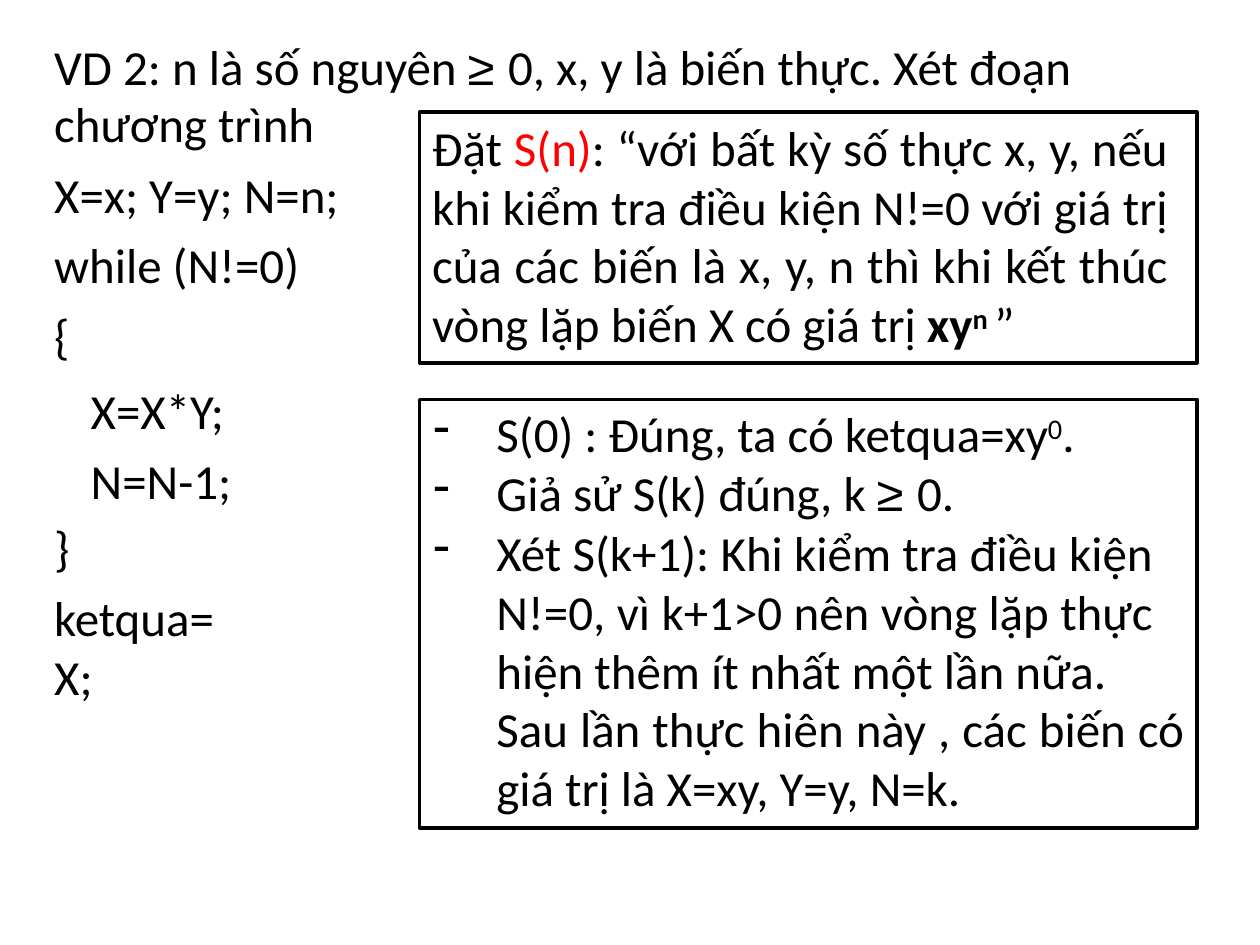
from dataclasses import dataclass

from lxml import etree
from pptx import Presentation
from pptx.dml.color import RGBColor
from pptx.enum.shapes import MSO_SHAPE
from pptx.enum.text import MSO_ANCHOR, MSO_AUTO_SIZE, PP_ALIGN
from pptx.oxml.ns import qn
from pptx.util import Inches, Pt

RECTANGLE = MSO_SHAPE.RECTANGLE
TOP = MSO_ANCHOR.TOP
NO_AUTOFIT = MSO_AUTO_SIZE.NONE
LEFT = PP_ALIGN.LEFT
JUSTIFY = PP_ALIGN.JUSTIFY
BLACK = "000000"
RED = "FF0000"


@dataclass(frozen=True)
class Span:
    text: str
    color: str = BLACK
    font: str = "Calibri"
    bold: bool = False
    raised: bool = False


@dataclass(frozen=True)
class Para:
    spans: tuple[Span, ...]
    before: float = 0
    spacing: float | Pt = 1.0
    align: PP_ALIGN = LEFT
    left: float = 0.01
    hanging: float = 0
    right: float = 0
    bullet: str = ""


@dataclass(frozen=True)
class Area:
    left: float
    top: float
    width: float
    height: float

    def lengths(self) -> tuple[Inches, ...]:
        return tuple(map(Inches, (self.left, self.top, self.width, self.height)))


TITLE_AREA = Area(0.42, 0.27, 8.1, 0.49)
CODE_AREA = Area(0.42, 0.63, 2.29, 4.51)
CLAIM_AREA = Area(3.33, 0.89, 6.17, 1.99)
PROOF_FRAME = Area(3.33, 3.17, 6.17, 3.4)
PROOF_AREA = Area(3.41, 3.18, 5.99, 3.29)

AT_LEAST = Span("≥ ", font="Arial")

TITLE = (
    Para((Span("VD 2: n là số nguyên "), AT_LEAST,
          Span("0, x, y là biến thực. Xét đoạn"))),
)
CODE = (
    Para((Span("chương trình X=x; Y=y; N=n;"),), spacing=1.2),
    Para((Span("while (N!=0)"),), before=6.7),
    Para((Span("{"),), before=6.8),
    Para((Span("X=X*Y; N=N-1;"),), before=2.5, spacing=Pt(40.3), left=0.3),
    Para((Span("}"),), before=4.3),
    Para((Span("ketqua=X;"),), before=6.7, right=0.9),
)
CLAIM = (
    Para((Span("Đặt "), Span("S(n)", RED),
          Span(": “với bất kỳ số thực x, y, nếu khi kiểm tra điều kiện N!=0 "
               "với giá trị của các biến là x, y, n thì khi kết thúc "
               "vòng lặp biến X có giá trị "),
          Span("xy", bold=True), Span("n ", bold=True, raised=True), Span("”")),
         align=JUSTIFY, left=0.1, right=0.23),
)
PROOF = (
    Para((Span("S(0) : Đúng, ta có ketqua=xy"), Span("0", raised=True), Span(".")),
         left=0.53, hanging=0.5, bullet="-"),
    Para((Span("Giả sử S(k) đúng, k "), AT_LEAST, Span("0.")),
         before=0.3, spacing=Pt(33.4), left=0.53, hanging=0.5, bullet="-"),
    Para((Span("Xét S(k+1): Khi kiểm tra điều kiện N!=0, vì k+1>0 nên "
               "vòng lặp thực hiện thêm ít nhất một lần nữa."),),
         before=0.9, spacing=Pt(33.6), align=JUSTIFY,
         left=0.53, hanging=0.5, right=0.25, bullet="-"),
    Para((Span("Sau lần thực hiên này , các biến có giá trị là X=xy, Y=y, N=k."),),
         spacing=Pt(33.6), align=JUSTIFY, left=0.53),
)


def rgb(color: str) -> RGBColor:
    return RGBColor.from_string(color)


def add_span(paragraph, span: Span) -> None:
    run = paragraph.add_run()
    run.text = span.text
    run.font.name = span.font
    run.font.size = Pt(28)
    run.font.bold = span.bold
    run.font.color.rgb = rgb(span.color)
    if span.raised:
        run.font._element.set("baseline", "26000")


def format_paragraph(paragraph, para: Para) -> None:
    properties = paragraph._p.get_or_add_pPr()
    properties.set("marL", str(Inches(para.left)))
    properties.set("marR", str(Inches(para.right)))
    properties.set("indent", str(-Inches(para.hanging)))
    if para.bullet:
        etree.SubElement(properties, qn("a:buChar")).set("char", para.bullet)
    else:
        etree.SubElement(properties, qn("a:buNone"))
    paragraph.alignment = para.align
    paragraph.line_spacing = para.spacing
    paragraph.space_before = Pt(para.before)
    paragraph.space_after = Pt(0)


def write(box, paras: tuple[Para, ...], inset: float) -> None:
    frame = box.text_frame
    frame.word_wrap = True
    frame.auto_size = NO_AUTOFIT
    frame.vertical_anchor = TOP
    frame.margin_left = frame.margin_right = frame.margin_bottom = 0
    frame.margin_top = Inches(inset)
    for index, para in enumerate(paras):
        paragraph = frame.add_paragraph() if index else frame.paragraphs[0]
        format_paragraph(paragraph, para)
        for span in para.spans:
            add_span(paragraph, span)


def place(box, area: Area) -> None:
    box.left, box.top, box.width, box.height = area.lengths()


def add_frame(page, area: Area):
    box = page.shapes.add_shape(RECTANGLE, *area.lengths())
    box.shadow.inherit = False
    box.fill.background()
    box.line.color.rgb = rgb(BLACK)
    box.line.width = Pt(2.04)
    return box


def main() -> None:
    deck = Presentation()
    deck.slide_width, deck.slide_height = Inches(10), Inches(7.5)
    page = deck.slides.add_slide(deck.slide_layouts[1])
    title, code = page.placeholders
    place(title, TITLE_AREA)
    write(title, TITLE, 0.02)
    place(code, CODE_AREA)
    write(code, CODE, 0.02)
    write(add_frame(page, CLAIM_AREA), CLAIM, 0.04)
    add_frame(page, PROOF_FRAME)
    write(page.shapes.add_textbox(*PROOF_AREA.lengths()), PROOF, 0.02)
    deck.save("out.pptx")


if __name__ == "__main__":
    main()
